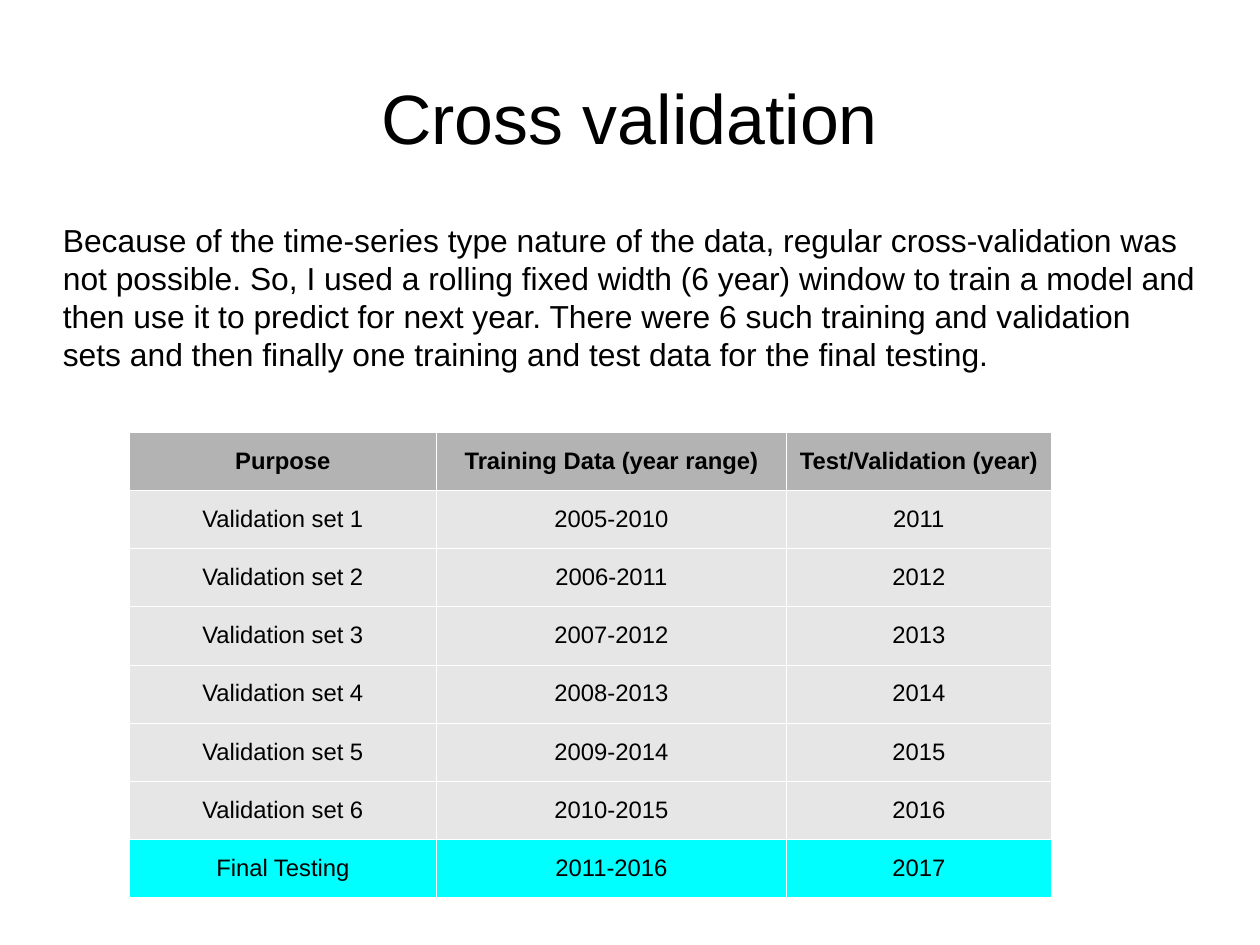
import pptx
import pptx.dml.color
import pptx.enum.text
import pptx.oxml.ns
import pptx.util
from lxml import etree
from pptx.util import Inches

ALIGN = pptx.enum.text.PP_ALIGN
ANCHOR = pptx.enum.text.MSO_ANCHOR


def color(hex_string):
    return pptx.dml.color.RGBColor.from_string(hex_string)


def format_text(paragraph, size, alignment, bold=False):
    paragraph.alignment = alignment
    for run in paragraph.runs:
        run.font.name = "Arial"
        run.font.size = pptx.util.Pt(size)
        run.font.bold = bold
        run.font.color.rgb = color("000000")


# Page of 11.02 by 8.27 inches, exact in points
presentation = pptx.Presentation()
presentation.slide_width = pptx.util.Pt(793.75)
presentation.slide_height = pptx.util.Pt(595.25)
slide = presentation.slides.add_slide(presentation.slide_layouts[6])

# Title and explanation
explanation = (
    "Because of the time-series type nature of the data, regular cross-validation was "
    "not possible. So, I used a rolling fixed width (6 year) window to train a model and "
    "then use it to predict for next year. There were 6 such training and validation "
    "sets and then finally one training and test data for the final testing."
)
text_blocks = [
    ("Cross validation", 0.33, 1.38, 44, ALIGN.CENTER, ANCHOR.MIDDLE, 0),
    (explanation, 1.93, 1.47, 20, ALIGN.LEFT, ANCHOR.TOP, 14.2),
]
for text, top, height, size, alignment, anchor, space_before in text_blocks:
    shape = slide.shapes.add_textbox(Inches(0.55), Inches(top), Inches(9.92), Inches(height))
    text_frame = shape.text_frame
    text_frame.word_wrap = True
    text_frame.vertical_anchor = anchor
    text_frame.margin_left = text_frame.margin_right = 0
    text_frame.margin_top = text_frame.margin_bottom = 0
    text_frame.text = text
    paragraph = text_frame.paragraphs[0]
    paragraph.space_before = pptx.util.Pt(space_before)
    format_text(paragraph, size, alignment)

# Rolling six-year windows, the last one for testing
rows = [("Purpose", "Training Data (year range)", "Test/Validation (year)")]
for number in range(1, 8):
    start = 2004 + number
    purpose = f"Validation set {number}" if number < 7 else "Final Testing"
    rows.append((purpose, f"{start}-{start + 5}", str(start + 6)))
row_fills = ["B3B3B3"] + ["E6E6E6"] * 6 + ["00FFFF"]

# Table
column_widths = [2.69, 3.06, 2.32]
table = slide.shapes.add_table(
    len(rows), len(column_widths), Inches(1.13), Inches(3.78), Inches(8.07), Inches(4.07)
).table
for column, width in zip(table.columns, column_widths):
    column.width = Inches(width)

for row_index, (values, fill) in enumerate(zip(rows, row_fills)):
    for column_index, value in enumerate(values):
        cell = table.cell(row_index, column_index)
        cell.text_frame.text = value
        cell.vertical_anchor = ANCHOR.MIDDLE
        format_text(cell.text_frame.paragraphs[0], 15, ALIGN.CENTER, bold=row_index == 0)

        # Thin white borders go before the fill
        properties = cell._tc.get_or_add_tcPr()
        for side in ("a:lnL", "a:lnR", "a:lnT", "a:lnB"):
            line = etree.SubElement(properties, pptx.oxml.ns.qn(side), w="720")
            line_fill = etree.SubElement(line, pptx.oxml.ns.qn("a:solidFill"))
            etree.SubElement(line_fill, pptx.oxml.ns.qn("a:srgbClr"), val="FFFFFF")
        cell.fill.solid()
        cell.fill.fore_color.rgb = color(fill)

presentation.save("out.pptx")
